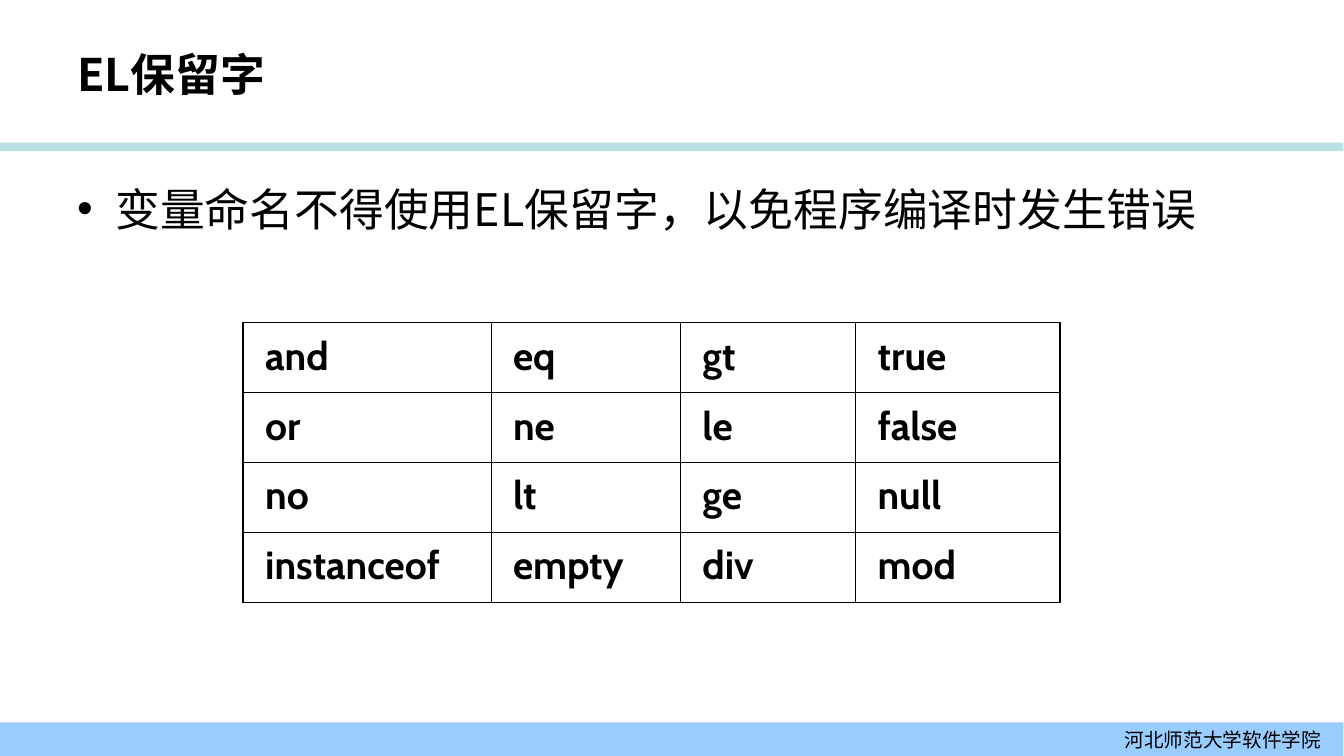
from dataclasses import dataclass

from lxml import etree
from pptx import Presentation
from pptx.dml.color import RGBColor
from pptx.enum.shapes import MSO_SHAPE
from pptx.enum.text import MSO_ANCHOR, PP_ALIGN
from pptx.oxml.ns import qn
from pptx.util import Inches, Pt

RECTANGLE = MSO_SHAPE.RECTANGLE
MIDDLE, TOP = MSO_ANCHOR.MIDDLE, MSO_ANCHOR.TOP
LEFT, RIGHT = PP_ALIGN.LEFT, PP_ALIGN.RIGHT
GRID_COLUMNS, GRID_ROWS = 160, 90
UNIT = Inches(7.5) / GRID_ROWS


@dataclass(frozen=True)
class Theme:
    """Colours, fonts and type sizes of the slide."""
    ink: str = "000000"
    rule: str = "BBE0E3"
    band: str = "99CCFF"
    chinese_font: str = "Noto Sans CJK SC"
    word_font: str = "Cabin"
    heading_size: int = 32
    word_size: int = 28
    footer_size: int = 14
    inner_line: float = 0.45
    outer_line: float = 1.08


THEME = Theme()
RESERVED_WORDS = [
    ["and", "eq", "gt", "true"],
    ["or", "ne", "le", "false"],
    ["no", "lt", "ge", "null"],
    ["instanceof", "empty", "div", "mod"],
]
WORD_COLUMNS = [29.52, 22.56, 20.88, 24.36]


def span(units):
    """Turn grid units into a length."""
    return round(units * UNIT)


def apply_format(target, values):
    """Set every attribute named in the format values."""
    for name, value in values.items():
        setattr(target, name, value)


def write(frame, text, size, font_name=THEME.chinese_font, bold=False, **layout):
    """Write one styled paragraph into a text frame and return it."""
    paragraph = frame.paragraphs[0]
    apply_format(paragraph, layout)
    run = paragraph.add_run()
    run.text = text
    apply_format(run.font, {"size": Pt(size), "name": font_name, "bold": bold})
    run.font.color.rgb = RGBColor.from_string(THEME.ink)
    properties = run.font._element
    etree.SubElement(properties, qn("a:ea"), typeface=font_name)
    return paragraph


def add_bar(slide, box, color):
    """Draw a plain coloured bar across the given box."""
    bar = slide.shapes.add_shape(RECTANGLE, *map(span, box))
    bar.shadow.inherit = False
    bar.fill.solid()
    bar.fill.fore_color.rgb = RGBColor.from_string(color)
    bar.line.fill.background()
    return bar


def add_text_frame(slide, box, anchor):
    """Add a wrapping text box and return its frame."""
    frame = slide.shapes.add_textbox(*map(span, box)).text_frame
    apply_format(frame, {"word_wrap": True, "vertical_anchor": anchor})
    return frame


def add_header(slide, box, title):
    """Place the title with the rule along the bottom of the box."""
    left, top, width, height = box
    add_bar(slide, (left, top + height - 1, width, 1), THEME.rule)
    frame = add_text_frame(slide, (left + 8, top + 3.6, width - 32, 10.4), MIDDLE)
    write(frame, title, THEME.heading_size, bold=True, alignment=LEFT)


def add_footer(slide, box, school):
    """Place the footer band with the school name at its right."""
    frame = add_bar(slide, box, THEME.band).text_frame
    apply_format(frame, {"word_wrap": False, "vertical_anchor": MIDDLE,
                         "margin_right": span(2.64)})
    write(frame, school, THEME.footer_size, alignment=RIGHT)


def add_bullet(slide, box, text):
    """Place one bulleted statement with a hanging indent."""
    frame = add_text_frame(slide, box, TOP)
    paragraph = write(frame, text, THEME.heading_size, space_before=Pt(8))
    properties = paragraph._p.get_or_add_pPr()
    indent = Inches(0.38)
    properties.set("marL", str(indent))
    properties.set("indent", str(-indent))
    etree.SubElement(properties, qn("a:buFont"), typeface="Arial")
    etree.SubElement(properties, qn("a:buChar"), char="•")


def add_borders(cell, outer_sides):
    """Line all four sides of a cell, heavier on the outer ones."""
    properties = cell._tc.get_or_add_tcPr()
    for side in "LRTB":
        weight = THEME.outer_line if side in outer_sides else THEME.inner_line
        line = etree.SubElement(properties, qn(f"a:ln{side}"), w=str(Pt(weight)))
        fill = etree.SubElement(line, qn("a:solidFill"))
        etree.SubElement(fill, qn("a:srgbClr"), val=THEME.ink)


def add_word_table(slide, box, words, column_units):
    """Place the ruled table of reserved words."""
    last_row, last_column = len(words) - 1, len(column_units) - 1
    table = slide.shapes.add_table(len(words), len(column_units),
                                   *map(span, box)).table
    apply_format(table, {"first_row": False, "horz_banding": False})
    for column, units in zip(table.columns, column_units):
        column.width = span(units)
    for row_index, row_words in enumerate(words):
        for column_index, word in enumerate(row_words):
            cell = table.cell(row_index, column_index)
            edges = {"L": column_index == 0, "R": column_index == last_column,
                     "T": row_index == 0, "B": row_index == last_row}
            add_borders(cell, [side for side, outer in edges.items() if outer])
            cell.fill.background()
            paragraph = write(cell.text_frame, word, THEME.word_size,
                              THEME.word_font, True,
                              line_spacing=1.1, space_before=Pt(3.5))
            properties = paragraph._p.get_or_add_pPr()
            properties.set("marL", str(Inches(0.12)))
            properties.set("indent", "0")


def main():
    """Build the slide on reserved words and save it."""
    presentation = Presentation()
    apply_format(presentation, {"slide_width": Inches(13.34),
                                "slide_height": Inches(7.5)})
    slide = presentation.slides.add_slide(presentation.slide_layouts[6])
    add_header(slide, (0, 0, GRID_COLUMNS, 18), "EL保留字")
    add_footer(slide, (0, GRID_ROWS - 4, GRID_COLUMNS, 4), "河北师范大学软件学院")
    add_bullet(slide, (8, 21, GRID_COLUMNS - 16, 59.4),
               "变量命名不得使用EL保留字，以免程序编译时发生错误")
    add_word_table(slide, (28.95, 38.4, sum(WORD_COLUMNS), 33.3),
                   RESERVED_WORDS, WORD_COLUMNS)
    presentation.save("out.pptx")


if __name__ == "__main__":
    main()
